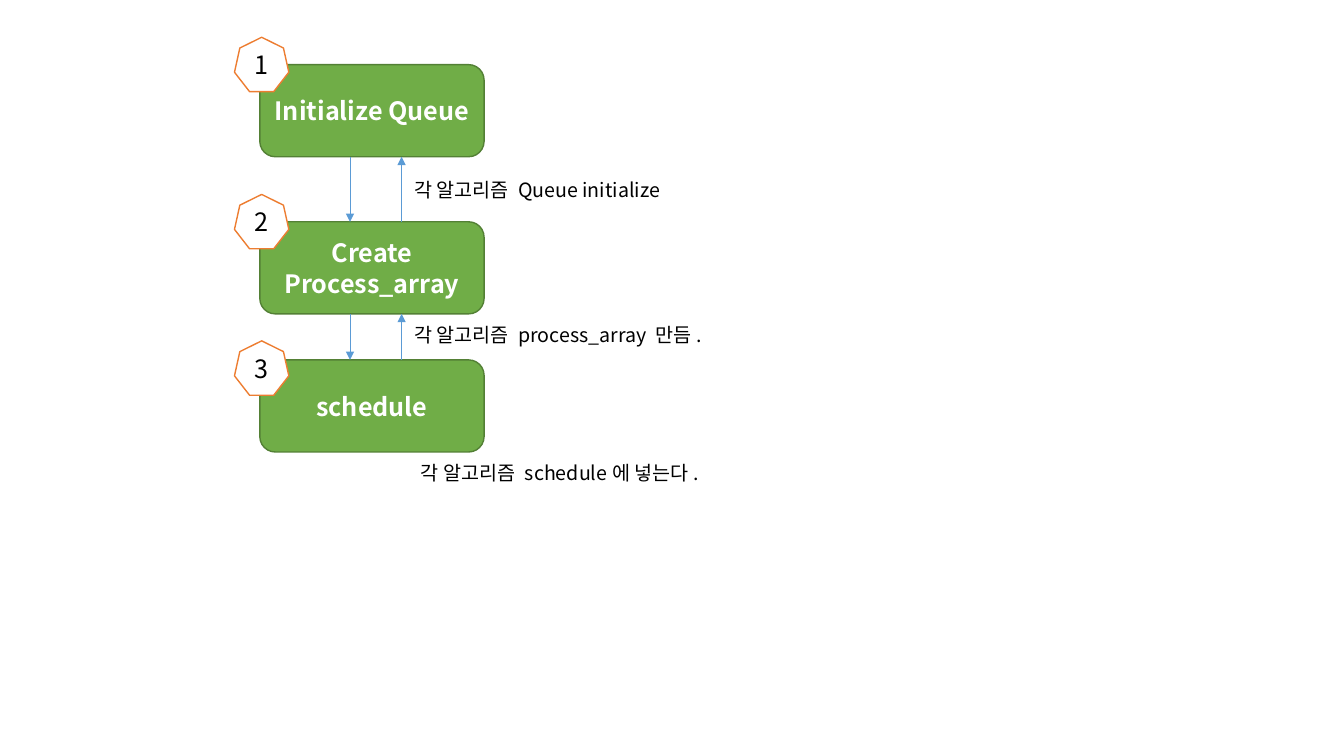
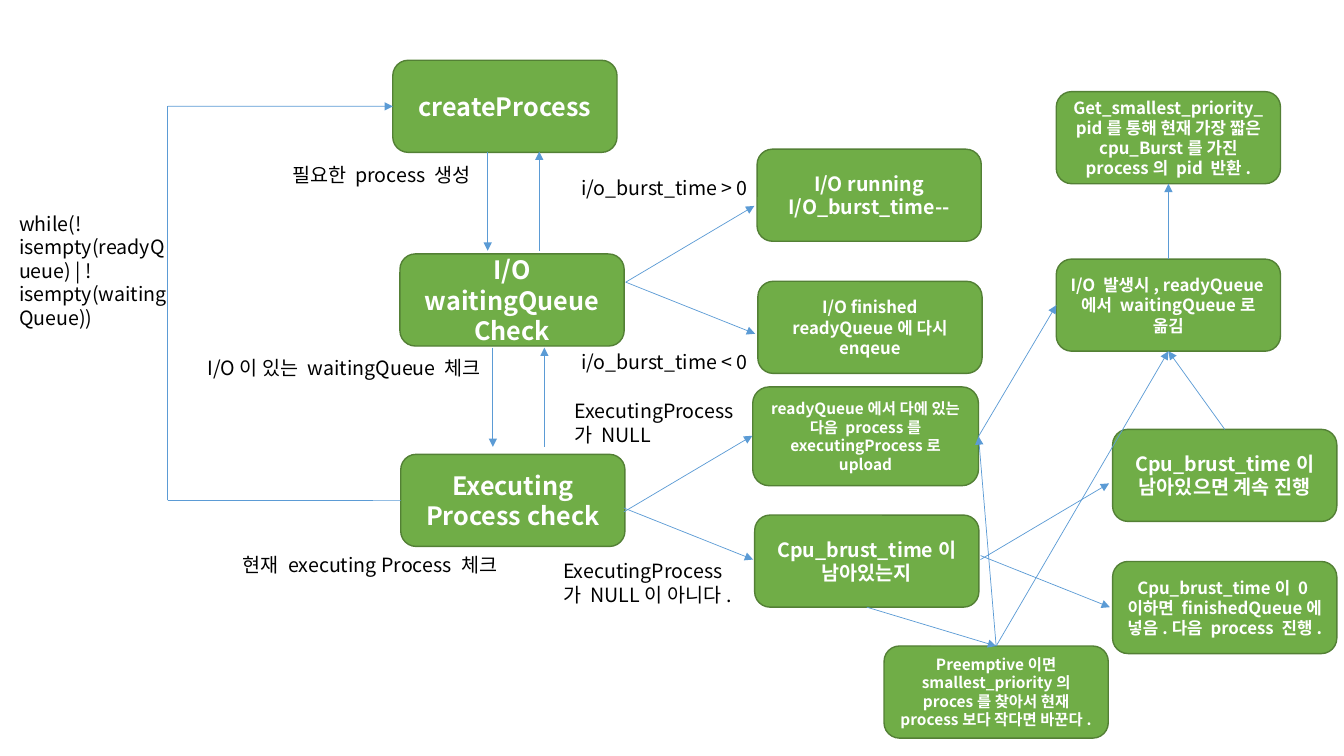
import pptx
import pptx.dml.color
import pptx.enum.shapes
import pptx.enum.text
import pptx.oxml
import pptx.oxml.ns
import pptx.util
from dataclasses import dataclass

Cm, Pt = pptx.util.Cm, pptx.util.Pt
SHAPE = pptx.enum.shapes.MSO_SHAPE
ALIGN = pptx.enum.text.PP_ALIGN
qn = pptx.oxml.ns.qn
TOP, LEFT, BOTTOM, RIGHT = range(4)  # connection sites of a box


@dataclass(frozen=True)
class Theme:
    font: str = "Noto Sans CJK KR"
    green: str = "70AD47"
    dark_green: str = "538035"
    orange: str = "ED7D31"
    blue: str = "5B9BD5"
    white: str = "FFFFFF"
    black: str = "000000"
    large: int = 18
    medium: int = 14
    small: int = 12
    tiny: int = 11
    outline: float = 1
    arrow: float = 0.5
    box_w: float = 5.65
    box_h: float = 2.32
    badge: float = 1.37
    pair_gap: float = 1.3


T = Theme()


def rgb(value):
    return pptx.dml.color.RGBColor.from_string(value)


# Shared parts
def write(tf, text, size, color, bold=False, align=None):
    tf.word_wrap = True
    tf.text = text
    for p in tf.paragraphs:
        p.alignment = align
        p.font.size = Pt(size)
        p.font.bold = bold
        p.font.color.rgb = rgb(color)
        p.font.name = T.font
        latin = p._p.pPr.find(qn("a:defRPr")).find(qn("a:latin"))
        east_asian = pptx.oxml.parse_xml(
            f'<a:ea {pptx.oxml.ns.nsdecls("a")} typeface="{T.font}"/>')
        latin.addnext(east_asian)


def add_shape(s, kind, x, y, w, h, text, size, fill, line, color, bold=False):
    sp = s.shapes.add_shape(kind, Cm(x), Cm(y), Cm(w), Cm(h))
    sp.shadow.inherit = False
    sp.fill.solid()
    sp.fill.fore_color.rgb = rgb(fill)
    sp.line.color.rgb = rgb(line)
    sp.line.width = Pt(T.outline)
    sp.text_frame.vertical_anchor = pptx.enum.text.MSO_ANCHOR.MIDDLE
    write(sp.text_frame, text, size, color, bold, ALIGN.CENTER)
    return sp


def add_box(s, x, y, text, size=T.large, w=T.box_w, h=T.box_h):
    return add_shape(s, SHAPE.ROUNDED_RECTANGLE, x, y, w, h, text, size,
                     T.green, T.dark_green, T.white, True)


def add_badge(s, x, y, text):
    add_shape(s, SHAPE.HEPTAGON, x, y, T.badge, T.badge, text, T.large,
              T.white, T.orange, T.black)


def add_label(s, x, y, w, text, h=0.86):
    tf = s.shapes.add_textbox(Cm(x), Cm(y), Cm(w), Cm(h)).text_frame
    write(tf, text, T.medium, T.black)
    tf.auto_size = pptx.enum.text.MSO_AUTO_SIZE.SHAPE_TO_FIT_TEXT


def add_line(s, x1, y1, x2, y2, head=True):
    c = s.shapes.add_connector(pptx.enum.shapes.MSO_CONNECTOR.STRAIGHT,
                               Cm(x1), Cm(y1), Cm(x2), Cm(y2))
    c.line.color.rgb = rgb(T.blue)
    c.line.width = Pt(T.arrow)
    spPr = c._element.spPr
    ns = pptx.oxml.ns.nsdecls("a")
    if head:
        spPr.find(qn("a:ln")).append(
            pptx.oxml.parse_xml(f'<a:tailEnd {ns} type="triangle"/>'))
    spPr.append(pptx.oxml.parse_xml(f"<a:effectLst {ns}/>"))
    return c


def link(s, start, start_site, end, end_site):
    c = add_line(s, 0, 0, 1, 1)
    c.begin_connect(start, start_site)
    c.end_connect(end, end_site)


def add_pair(s, x, y, h):
    """One arrow down and one back up."""
    add_line(s, x, y, x, y + h)
    add_line(s, x + T.pair_gap, y + h, x + T.pair_gap, y)


def add_fork(s, x, y, lag=0.1):
    """Two arrows that part to the right."""
    add_line(s, x, y, x + 3.26, y + 1.3)
    add_line(s, x, y + lag, x + 3.24, y + lag - 1.92)


# Slide 1: numbered steps
def steps(s, x, y):
    rows = [  # top, badge rise, box text, label left, gap, width, label text
        (0, 0.69, "Initialize Queue", 3.64, 0.4, 7.26, "각 알고리즘 Queue initialize"),
        (3.96, 0.69, "Create Process_array", 3.64, 0.1, 7.72,
         "각 알고리즘 process_array 만듬."),
        (7.44, 0.48, "schedule", 3.81, 0.1, 8.03, "각 알고리즘 schedule에 넣는다."),
    ]
    for top, rise, text, left, gap, w, note in rows:
        add_box(s, x, y + top, text)
        add_badge(s, x - 0.64, y + top - rise, text=str(rows.index(
            (top, rise, text, left, gap, w, note)) + 1))
        add_label(s, x + left, y + top + T.box_h + gap, w, note)
    for upper, lower in zip(rows, rows[1:]):
        bottom = upper[0] + T.box_h
        add_pair(s, x + 2.27, y + bottom, lower[0] - bottom)


# Slide 2: main column with its while loop
def main_column(s, x, y):
    create = add_box(s, x, y, "createProcess")
    add_box(s, x + 0.18, y + 4.88, "I/O waitingQueue Check")
    check = add_box(s, x + 0.2, y + 9.93, "Executing Process check")
    add_pair(s, x + 2.39, y + 2.3, 2.5)
    add_pair(s, x + 2.52, y + 7.24, 2.5)
    add_label(s, x - 2.79, y + 2.47, 6.07, "필요한 process 생성")
    add_label(s, x - 4.92, y + 7.32, 8.71, "I/O이 있는 waitingQueue 체크")
    add_label(s, x - 4.03, y + 12.3, 8.71, "현재 executing Process 체크")

    rail, top, bottom = x - 5.67, y + T.box_h / 2, y + 9.93 + T.box_h / 2
    add_line(s, rail, top, x, top).end_connect(create, LEFT)
    add_line(s, x, bottom, rail, bottom, head=False).begin_connect(check, LEFT)
    add_line(s, rail, bottom, rail, top, head=False)
    add_label(s, x - 9.67, y + 3.69, 4.27,
              "while(!isempty(readyQueue) | !isempty(waitingQueue))", 2.64)


# Slide 2: branch on the I/O burst time
def io_branch(s, x, y):
    add_fork(s, x - 3.31, y + 3.35, lag=0)
    add_box(s, x, y, "I/O running\nI/O_burst_time--", T.medium)
    add_box(s, x + 0.02, y + 3.33, "I/O finished\nreadyQueue에 다시 enqeue", T.small)
    add_label(s, x - 4.68, y + 0.56, 5, "i/o_burst_time > 0")
    add_label(s, x - 4.68, y + 4.93, 5, "i/o_burst_time < 0")


# Slide 2: move to the waiting queue and pick the next pid
def priority_branch(s, x, y):
    smallest = add_box(s, x, y, "Get_smallest_priority_pid를 통해 현재 가장 짧은 "
                       "cpu_Burst를 가진 process의 pid 반환.", T.small)
    move = add_box(s, x, y + 4.22,
                   "I/O 발생시, readyQueue에서 waitingQueue로 옮김", T.small)
    link(s, move, TOP, smallest, BOTTOM)
    return move


# Slide 2: branch on the executing process
def executing_branch(s, x, y, move):
    ready = add_box(s, x, y, "readyQueue에서 다에 있는 다음 process를 "
                    "executingProcess로 upload", T.tiny, 5.69, 2.49)
    add_fork(s, x - 3.25, y + 3.05)
    add_label(s, x - 4.75, y + 0.18, 5, "ExecutingProcess가 NULL", 1.45)
    add_label(s, x - 5.03, y + 4.22, 5, "ExecutingProcess가 NULL이 아니다.", 1.45)
    remaining = add_box(s, x + 0.05, y + 3.23, "Cpu_brust_time이 남아있는지", T.medium)
    add_fork(s, x + 5.74, y + 4.25)
    go_on = add_box(s, x + 9.07, y + 1.07,
                    "Cpu_brust_time이 남아있으면 계속 진행", T.medium)
    add_box(s, x + 9.07, y + 4.4, "Cpu_brust_time이 0이하면 finishedQueue에 넣음."
            "다음 process 진행.", T.small)
    preempt = add_box(s, x + 3.31, y + 6.53, "Preemptive이면 smallest_priority의 "
                      "proces를 찾아서 현재 process보다 작다면 바꾼다.", T.tiny)
    link(s, ready, RIGHT, move, LEFT)
    link(s, go_on, TOP, move, BOTTOM)
    link(s, remaining, BOTTOM, preempt, TOP)
    link(s, preempt, TOP, move, BOTTOM)
    link(s, preempt, TOP, ready, RIGHT)


prs = pptx.Presentation()
prs.slide_width, prs.slide_height = Cm(33.87), Cm(19.05)
blank = prs.slide_layouts[6]

steps(prs.slides.add_slide(blank), 6.55, 1.63)

s = prs.slides.add_slide(blank)
main_column(s, 9.9, 1.52)
io_branch(s, 19.08, 3.76)
move_box = priority_branch(s, 26.62, 2.31)
executing_branch(s, 18.97, 9.75, move_box)

prs.save("out.pptx")
